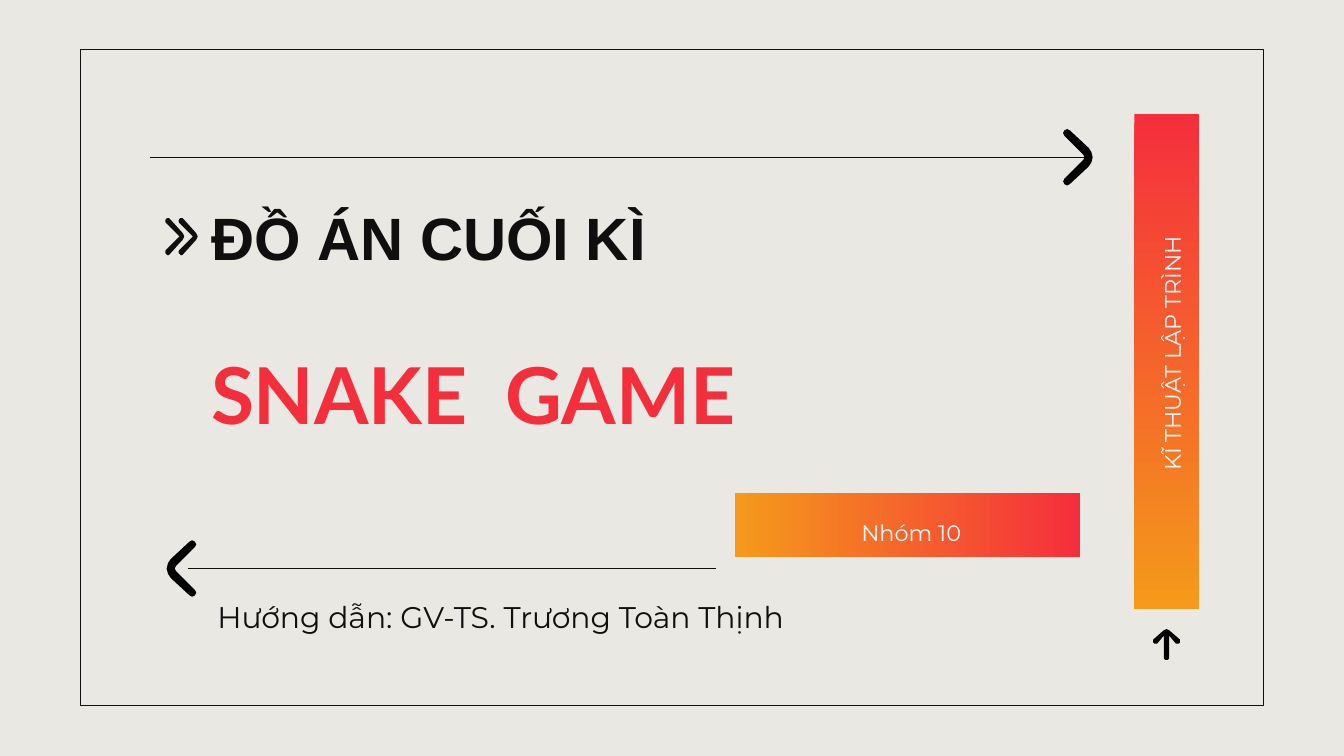
import pptx
import pptx.util
import pptx.dml.color
import pptx.enum.shapes
import pptx.enum.text
import pptx.oxml

Inch = pptx.util.Inches
Pt = pptx.util.Pt
Kind = pptx.enum.shapes.MSO_SHAPE
Align = pptx.enum.text.PP_ALIGN
Mid = pptx.enum.text.MSO_ANCHOR.MIDDLE

THEME = {
    "paper": "E9E8E3", "ink": "100E0E", "black": "000000", "white": "FFFFFF",
    "red": "F52E3C", "gold": "F59A1B",
    "head": 32, "game": 42, "sub": 16, "tag": 12,
    "line": 0.75, "bold": 1.5, "gap": 44.5,
}

WIDE = Inch(10)
HIGH = WIDE * 9 // 16
FRAME = (0.6, 0.37, 8.8, 4.88)
BARS = [((6.51, 2.62, 0.48, 2.57), 90), ((8.44, 0.85, 0.48, 3.68), 0)]
RULES = [(1.12, 8.08, 1.17), (1.4, 5.33, 4.23)]

TITLE = (1.47, 1.49, 6.73, 1.86)
HEAD = "ĐỒ ÁN CUỐI KÌ"
GAME = "SNAKE  GAME"
NOTES = [
    {"text": "Hướng dẫn: GV-TS. Trương Toàn Thịnh", "box": (1.52, 4.34, 4.66, 0.45),
     "size": "sub", "color": "ink", "form": {"line_spacing": 1.15}},
    {"text": "Nhóm 10", "box": (5.81, 3.84, 1.88, 0.24),
     "size": "tag", "color": "white", "indent": 0.5},
    {"text": "KĨ THUẬT LẬP TRÌNH", "box": (7.4, 2.51, 2.61, 0.24), "turn": 270,
     "size": "tag", "color": "white",
     "form": {"line_spacing": 1.15, "alignment": Align.CENTER}},
]

LARGE = [(0.22, 0), (0.21, 0.04), (0.19, 0.07), (0.05, 0.2), (0.03, 0.21),
         (0.01, 0.2), (0, 0.18), (0.01, 0.16), (0.15, 0.02), (0.16, 0)]
SMALL = [(0.12, 0), (0.11, 0.02), (0.02, 0.12), (0.01, 0.13), (0, 0.12),
         (0, 0.11), (0.1, 0.01), (0.11, 0)]
ARROW = [(0.23, 0), (0.22, 0.02), (0.15, 0.1), (0.13, 0.1), (0.12, 0.09),
         (0.12, 0.07), (0.18, 0.02), (0.01, 0.02), (0, 0.01)]
RIGHT, LEFT, UP = (1, 0), (-1, 0), (0, -1)
SIGNS = [
    (LARGE, (7.91, 1.17), RIGHT, "black", None),
    (ARROW, (8.68, 4.91), UP, "black", None),
    (LARGE, (1.46, 4.23), LEFT, "black", None),
    (SMALL, (1.34, 1.76), RIGHT, "ink", "bold"),
    (SMALL, (1.24, 1.76), RIGHT, "ink", "bold"),
]


def tint(name):
    return pptx.dml.color.RGBColor.from_string(THEME[name])


def apply(item, form):
    for key, val in form.items():
        setattr(item, key, val)


def place(shape, box):
    apply(shape, dict(zip(("left", "top", "width", "height"), map(Inch, box))))


def pen(line, width):
    line.color.rgb = tint("ink")
    line.width = Pt(THEME[width])


def setup(frame):
    apply(frame, {"word_wrap": True, "vertical_anchor": Mid,
                  "auto_size": pptx.enum.text.MSO_AUTO_SIZE.NONE})
    apply(frame, {"margin_" + side: Inch(0.1)
                  for side in ("left", "top", "right", "bottom")})


def write(para, text, size, face, color, bold=False):
    run = para.add_run()
    run.text = text
    apply(run.font, {"size": Pt(THEME[size]), "name": face, "bold": bold})
    run.font.color.rgb = tint(color)


def rect(slide, box, turn=0):
    shape = slide.shapes.add_shape(Kind.RECTANGLE, *map(Inch, box))
    shape.shadow.inherit = False
    shape.rotation = turn
    return shape


def bar(slide, box, turn):
    shape = rect(slide, box, turn)
    shape.line.fill.background()
    shape.fill.gradient()
    shape.fill.gradient_angle = 270
    for stop, name in zip(shape.fill.gradient_stops, ("red", "gold")):
        stop.color.rgb = tint(name)


def rule(slide, start, end, y):
    line = slide.shapes.add_connector(
        pptx.enum.shapes.MSO_CONNECTOR.STRAIGHT, *map(Inch, (start, y, end, y)))
    pen(line.line, "line")
    line._element.spPr.append(pptx.oxml.parse_xml(
        '<a:effectLst xmlns:a="http://schemas.openxmlformats.org/drawingml/2006/main"/>'))


def sign(slide, half, base, way, color, width):
    dx, dy = way
    full = half + [(u, -v) for u, v in reversed(half)]
    points = [(Inch(base[0] + u * dx - v * dy), Inch(base[1] + u * dy + v * dx))
              for u, v in full]
    maker = slide.shapes.build_freeform(*points[0])
    maker.add_line_segments(points[1:], close=True)
    shape = maker.convert_to_shape()
    shape.shadow.inherit = False
    shape.fill.solid()
    shape.fill.fore_color.rgb = tint(color)
    if width:
        pen(shape.line, width)
    else:
        shape.line.fill.background()


def title(slide):
    shape = slide.shapes.title
    place(shape, TITLE)
    frame = shape.text_frame
    setup(frame)
    first, last = frame.paragraphs[0], frame.add_paragraph()
    form = {"alignment": Align.LEFT, "line_spacing": 0.9, "space_before": Pt(0)}
    apply(first, form)
    apply(last, {**form, "space_before": Pt(THEME["gap"])})
    write(first, HEAD, "head", "Arial", "ink", True)
    write(last, GAME, "game", "Lato", "red", True)


def note(slide, data):
    shape = slide.shapes.add_textbox(*map(Inch, data["box"]))
    shape.rotation = data.get("turn", 0)
    setup(shape.text_frame)
    para = shape.text_frame.paragraphs[0]
    apply(para, data.get("form", {}))
    if "indent" in data:
        para._p.get_or_add_pPr().set("indent", str(Inch(data["indent"])))
    write(para, data["text"], data["size"], "Montserrat", data["color"])


def main():
    deck = pptx.Presentation()
    apply(deck, {"slide_width": WIDE, "slide_height": HIGH})
    slide = deck.slides.add_slide(deck.slide_layouts[5])
    slide.background.fill.solid()
    slide.background.fill.fore_color.rgb = tint("paper")

    frame = rect(slide, FRAME)
    frame.fill.background()
    pen(frame.line, "line")
    for box, turn in BARS:
        bar(slide, box, turn)
    title(slide)
    for data in NOTES:
        note(slide, data)
    for span in RULES:
        rule(slide, *span)
    for data in SIGNS:
        sign(slide, *data)
    deck.save("out.pptx")


if __name__ == "__main__":
    main()
